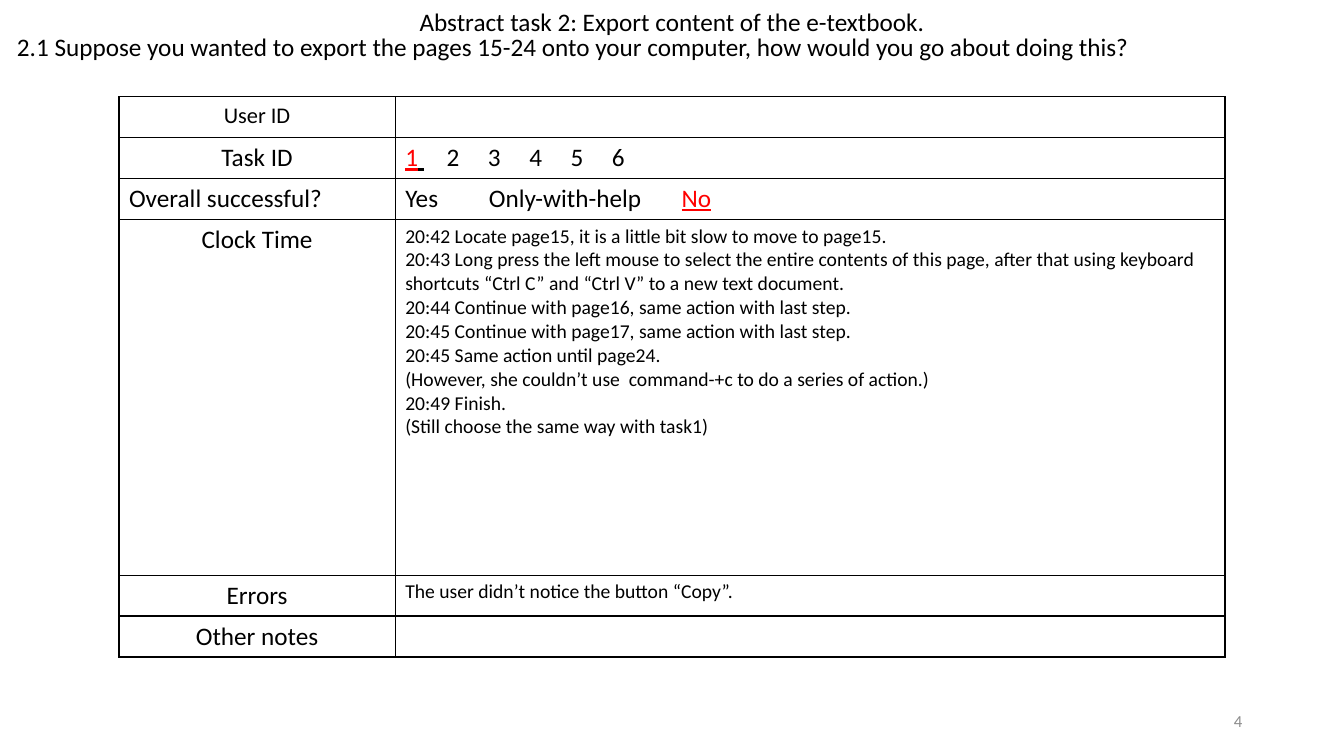
from dataclasses import dataclass

from lxml import etree
from pptx import Presentation
from pptx.dml.color import RGBColor
from pptx.enum.text import MSO_ANCHOR, PP_ALIGN
from pptx.oxml.ns import qn
from pptx.util import Inches, Pt

LEFT, CENTER, RIGHT = PP_ALIGN.LEFT, PP_ALIGN.CENTER, PP_ALIGN.RIGHT
TOP, MIDDLE = MSO_ANCHOR.TOP, MSO_ANCHOR.MIDDLE
TITLE_ONLY = 5


@dataclass(frozen=True)
class Theme:
    font: str = "Calibri"
    ink: str = "000000"
    chosen: str = "FF0000"
    muted: str = "8C8C8C"
    body: int = 18
    label: int = 16
    log: int = 14
    footer: int = 12
    border: float = 1


THEME = Theme()


def add_span(para, text, size=THEME.body, color=THEME.ink, underline=False):
    span = para.add_run()
    span.text = text
    span.font.name = THEME.font
    span.font.size = Pt(size)
    span.font.color.rgb = RGBColor.from_string(color)
    span.font.underline = underline


def write(frame, lines, align=LEFT, tabs=(), **style):
    """Fill a frame; a line is a string or a list of (text, format) spans."""
    for index, line in enumerate(lines):
        para = frame.paragraphs[0] if index == 0 else frame.add_paragraph()
        para.alignment = align
        if tabs:
            stops = etree.SubElement(para._p.get_or_add_pPr(), qn("a:tabLst"))
            for position in tabs:
                etree.SubElement(stops, qn("a:tab"), pos=str(Inches(position)), algn="l")
        spans = [(line, {})] if isinstance(line, str) else line
        for text, extra in spans:
            add_span(para, text, **{**style, **extra})


def set_borders(cell, theme):
    cell.fill.background()
    properties = cell._tc.get_or_add_tcPr()
    for index, side in enumerate(("lnL", "lnR", "lnT", "lnB")):
        line = etree.Element(qn(f"a:{side}"), w=str(Pt(theme.border)))
        fill = etree.SubElement(line, qn("a:solidFill"))
        etree.SubElement(fill, qn("a:srgbClr"), val=theme.ink)
        properties.insert(index, line)


class SlideBuilder:
    def __init__(self, slide, theme):
        self.slide = slide
        self.theme = theme

    def place(self, box, area, text, anchor=TOP, **style):
        box.left, box.top, box.width, box.height = map(Inches, area)
        box.text_frame.word_wrap = True
        box.text_frame.vertical_anchor = anchor
        write(box.text_frame, [text], **style)

    def title(self, text, area):
        self.place(self.slide.shapes.title, area, text, align=CENTER)

    def text(self, text, area, **style):
        box = self.slide.shapes.add_textbox(*map(Inches, area))
        self.place(box, area, text, **style)

    def table(self, rows, left, top, widths, heights):
        """Draw a ruled grid; each cell is a (lines, format) pair."""
        frame = self.slide.shapes.add_table(
            len(rows), len(widths), Inches(left), Inches(top),
            Inches(sum(widths)), Inches(sum(heights)))
        table = frame.table
        table.first_row = table.horz_banding = False
        for column, width in zip(table.columns, widths):
            column.width = Inches(width)
        for row, height, contents in zip(table.rows, heights, rows):
            row.height = Inches(height)
            for cell, (lines, style) in zip(row.cells, contents):
                set_borders(cell, self.theme)
                write(cell.text_frame, lines, **style)


CHOSEN = {"color": THEME.chosen, "underline": True}
CENTERED = {"align": CENTER}
LOG = {"size": THEME.log}
TASK_STEP = 0.41

TASK_IDS = [("1", CHOSEN), (" ", {"underline": True}), ("\t2\t3\t4\t5\t6", {})]
SUCCESS = [("Yes\tOnly-with-help\t", {}), ("No", CHOSEN)]
CLOCK_LOG = [
    "20:42 Locate page15, it is a little bit slow to move to page15.",
    "20:43 Long press the left mouse to select the entire contents of this page, "
    "after that using keyboard shortcuts “Ctrl C” and “Ctrl V” to a new text document.",
    "20:44 Continue with page16, same action with last step.",
    "20:45 Continue with page17, same action with last step.",
    "20:45 Same action until page24.",
    "(However, she couldn’t use  command-+c to do a series of action.)",
    "20:49 Finish.",
    "(Still choose the same way with task1)",
]
EMPTY = ([], {})
ROWS = [
    [(["User ID"], {"align": CENTER, "size": THEME.label}), EMPTY],
    [(["Task ID"], CENTERED),
     ([TASK_IDS], {"tabs": [TASK_STEP * step for step in range(1, 6)]})],
    [(["Overall successful?"], {}), ([SUCCESS], {"tabs": [0.83, 2.74]})],
    [(["Clock Time"], CENTERED), (CLOCK_LOG, LOG)],
    [(["Errors"], CENTERED), (["The user didn’t notice the button “Copy”."], LOG)],
    [(["Other notes"], CENTERED), EMPTY],
]
ROW_HEIGHT, LOG_HEIGHT = 0.4, 3.53


def main():
    deck = Presentation()
    deck.slide_width, deck.slide_height = Inches(13.33), Inches(7.5)
    slide = deck.slides.add_slide(deck.slide_layouts[TITLE_ONLY])
    page = SlideBuilder(slide, THEME)
    heights = [LOG_HEIGHT if lines is CLOCK_LOG else ROW_HEIGHT
               for _, (lines, _) in ROWS]
    page.table(ROWS, 1.18, 0.96, [2.74, 8.23], heights)
    page.text("2.1 Suppose you wanted to export the pages 15-24 onto your computer, "
              "how would you go about doing this?", (0.07, 0.26, 13.24, 0.4))
    page.title("Abstract task 2: Export content of the e-textbook.", (3.7, 0.01, 5.93, 0.4))
    page.text("4", (9.42, 6.95, 3, 0.4), anchor=MIDDLE, align=RIGHT,
              size=THEME.footer, color=THEME.muted)
    deck.save("out.pptx")


if __name__ == "__main__":
    main()
